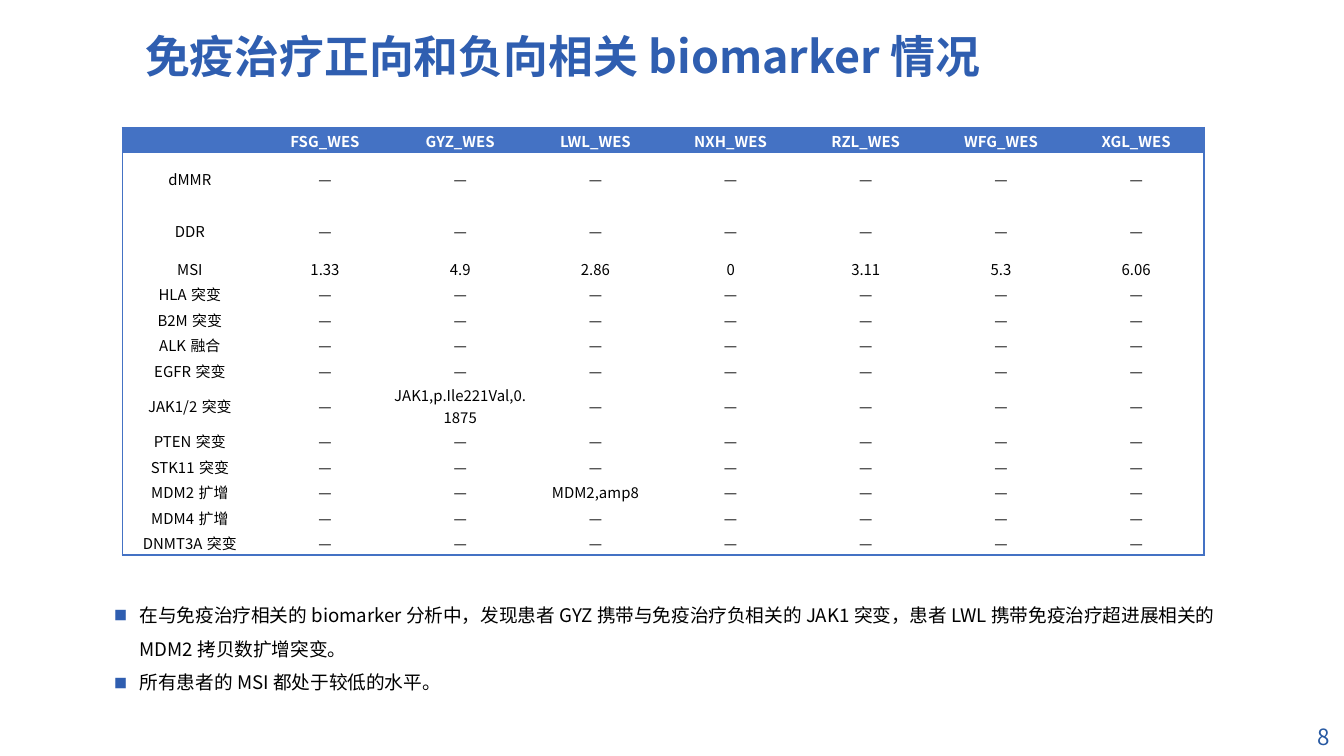
from lxml import etree
from pptx import Presentation
from pptx.dml.color import RGBColor
from pptx.enum.text import MSO_ANCHOR, MSO_AUTO_SIZE, PP_ALIGN
from pptx.oxml.ns import qn
from pptx.util import Inches, Pt

MID = MSO_ANCHOR.MIDDLE
FIXED = MSO_AUTO_SIZE.NONE
LEFT, CENTER, RIGHT = PP_ALIGN.LEFT, PP_ALIGN.CENTER, PP_ALIGN.RIGHT
FONT = "Noto Sans CJK SC"
PLAIN = "{2D5ABB26-0587-4C30-8999-92F81FD0307C}"  # table style without lines
COLORS = {"title": "2F5EB0", "page": "2759A2", "head": "4472C4",
          "text": "000000", "white": "FFFFFF"}
DASH = "—"
NAMES = ["FSG", "GYZ", "LWL", "NXH", "RZL", "WFG", "XGL"]
MARKS = ["dMMR", "DDR", "MSI", "HLA突变", "B2M突变", "ALK融合", "EGFR突变",
         "JAK1/2突变", "PTEN突变", "STK11突变", "MDM2扩增", "MDM4扩增",
         "DNMT3A突变"]
MSI = ["1.33", "4.9", "2.86", "0", "3.11", "5.3", "6.06"]
FOUND = {("JAK1/2突变", "GYZ"): "JAK1,p.Ile221Val,0.1875",
         ("MDM2扩增", "LWL"): "MDM2,amp8"}
FOUND.update({("MSI", name): value for name, value in zip(NAMES, MSI)})
TALL = ("dMMR", "DDR")
ROW = 0.19
NOTES = ["在与免疫治疗相关的biomarker分析中，发现患者GYZ携带与免疫治疗负相关的JAK1突变，"
         "患者LWL携带免疫治疗超进展相关的MDM2拷贝数扩增突变。",
         "所有患者的MSI都处于较低的水平。"]


def paint(key):
    return RGBColor.from_string(COLORS[key])


def style(para, size, key, align=LEFT, bold=False):
    """Set the look of a whole paragraph, for Latin and Chinese letters."""
    font = para.font
    font.name, font.size, font.bold = FONT, Pt(size), bold
    font.color.rgb = paint(key)
    para.alignment = align
    props = para._p.get_or_add_pPr().find(qn("a:defRPr"))
    etree.SubElement(props, qn("a:ea"), typeface=FONT)


def place(shape, box):
    shape.left, shape.top, shape.width, shape.height = map(Inches, box)


def edge(cell, sides):
    """Draw the outer border on the given sides, in L, R, T, B order."""
    props = cell._tc.get_or_add_tcPr()
    for spot, side in enumerate(sides):
        line = etree.Element(qn("a:ln" + side), w=str(Pt(0.9)),
                             cap="flat", cmpd="sng", algn="ctr")
        fill = etree.SubElement(line, qn("a:solidFill"))
        etree.SubElement(fill, qn("a:srgbClr"), val=COLORS["head"])
        etree.SubElement(line, qn("a:prstDash"), val="solid")
        props.insert(spot, line)


def bullet(para):
    props = para._p.get_or_add_pPr()
    props.set("marL", str(Inches(0.19)))
    props.set("indent", str(-Inches(0.19)))
    last = props.find(qn("a:defRPr"))
    tint = etree.Element(qn("a:buClr"))
    etree.SubElement(tint, qn("a:srgbClr"), val=COLORS["title"])
    size = etree.Element(qn("a:buSzPct"), val="70000")
    face = etree.Element(qn("a:buFont"), typeface=FONT)
    mark = etree.Element(qn("a:buChar"), char="■")
    for part in (tint, size, face, mark):
        last.addprevious(part)


def add_title(slide, box):
    shape = slide.shapes.title
    place(shape, box)
    frame = shape.text_frame
    frame.text = "免疫治疗正向和负向相关biomarker情况"
    frame.auto_size, frame.vertical_anchor = FIXED, MID
    para = frame.paragraphs[0]
    para.line_spacing = 0.9
    style(para, 24, "title", bold=True)


def add_grid(slide, box):
    data = [[""] + [name + "_WES" for name in NAMES]]
    data += [[mark] + [FOUND.get((mark, name), DASH) for name in NAMES]
             for mark in MARKS]
    rows, cols = len(data), len(data[0])
    shape = slide.shapes.add_table(rows, cols, *map(Inches, box))
    table = shape.table
    table.horz_banding = False
    table._tbl.tblPr.find(qn("a:tableStyleId")).text = PLAIN
    for col in table.columns:
        col.width = Inches(box[2] / cols)
    for r, line in enumerate(data):
        table.rows[r].height = Inches(ROW * (2 if line[0] in TALL else 1))
        for c, text in enumerate(line):
            cell = table.cell(r, c)
            cell.text = text
            cell.vertical_anchor = MID
            cell.margin_left = cell.margin_right = Inches(0.01)
            cell.margin_top, cell.margin_bottom = Inches(0.01), 0
            style(cell.text_frame.paragraphs[0], 8,
                  "text" if r else "white", CENTER, r == 0)
            if r:
                cell.fill.background()
            else:
                cell.fill.solid()
                cell.fill.fore_color.rgb = paint("head")
            outer = {"L": c == 0, "R": c == cols - 1,
                     "T": r == 0, "B": r == rows - 1}
            edge(cell, [side for side in outer if outer[side]])
    shape.height = Inches(box[3])


def add_notes(slide, box):
    body = slide.placeholders[1]
    place(body, box)
    frame = body.text_frame
    frame.text = "\n".join(NOTES)
    frame.auto_size = FIXED
    for para in frame.paragraphs:
        para.line_spacing = 1.5
        para.space_before = Pt(0)
        style(para, 10, "text")
        bullet(para)


def add_page(slide, box):
    frame = slide.shapes.add_textbox(*map(Inches, box)).text_frame
    frame.text = "8"
    frame.word_wrap, frame.vertical_anchor = True, MID
    style(frame.paragraphs[0], 12, "page", RIGHT)


def main():
    deck = Presentation()
    deck.slide_width, deck.slide_height = Inches(10), Inches(10 * 9 / 16)
    slide = deck.slides.add_slide(deck.slide_layouts[1])
    add_title(slide, (0.98, 0.14, 6.54, 0.59))
    add_notes(slide, (0.75, 4.36, 8.62, 0.86))
    add_grid(slide, (0.91, 0.95, 8.05, 3.16))
    add_page(slide, (9.08, 5.34, 0.91, 0.28))
    deck.save("out.pptx")


if __name__ == "__main__":
    main()
